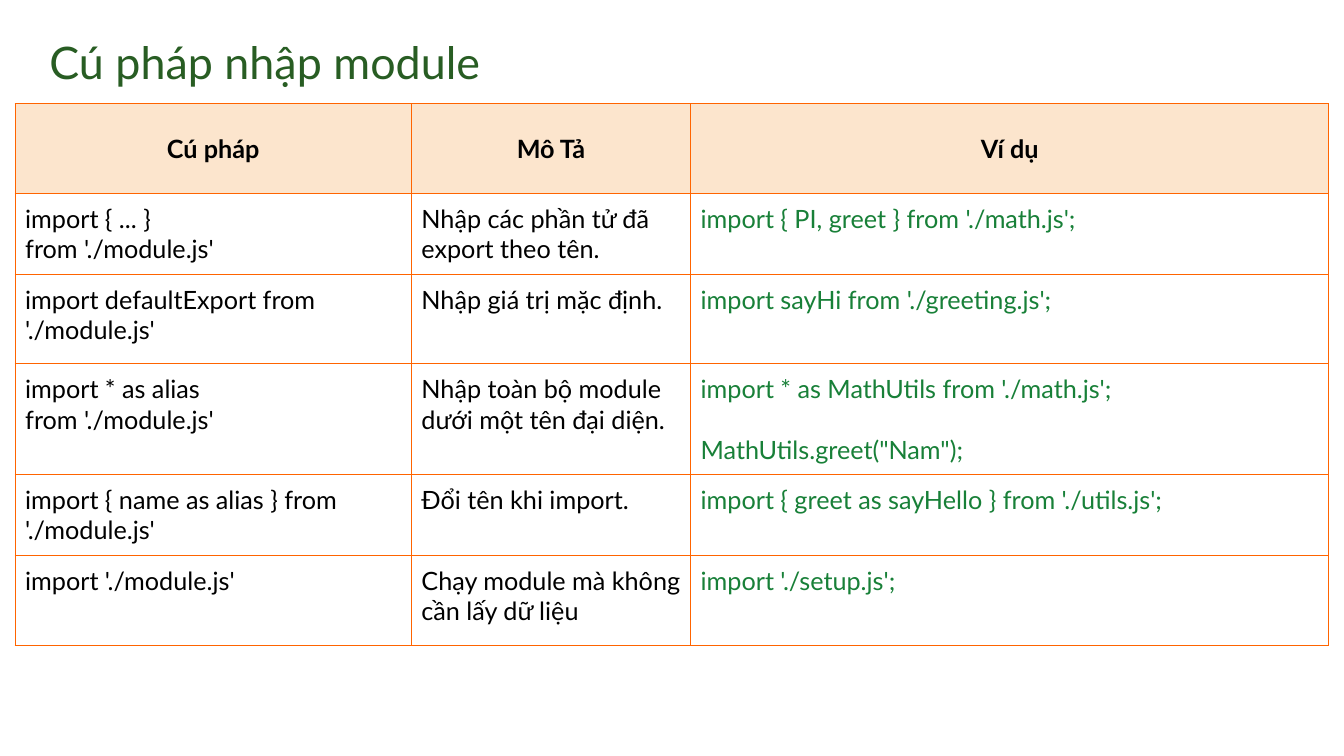
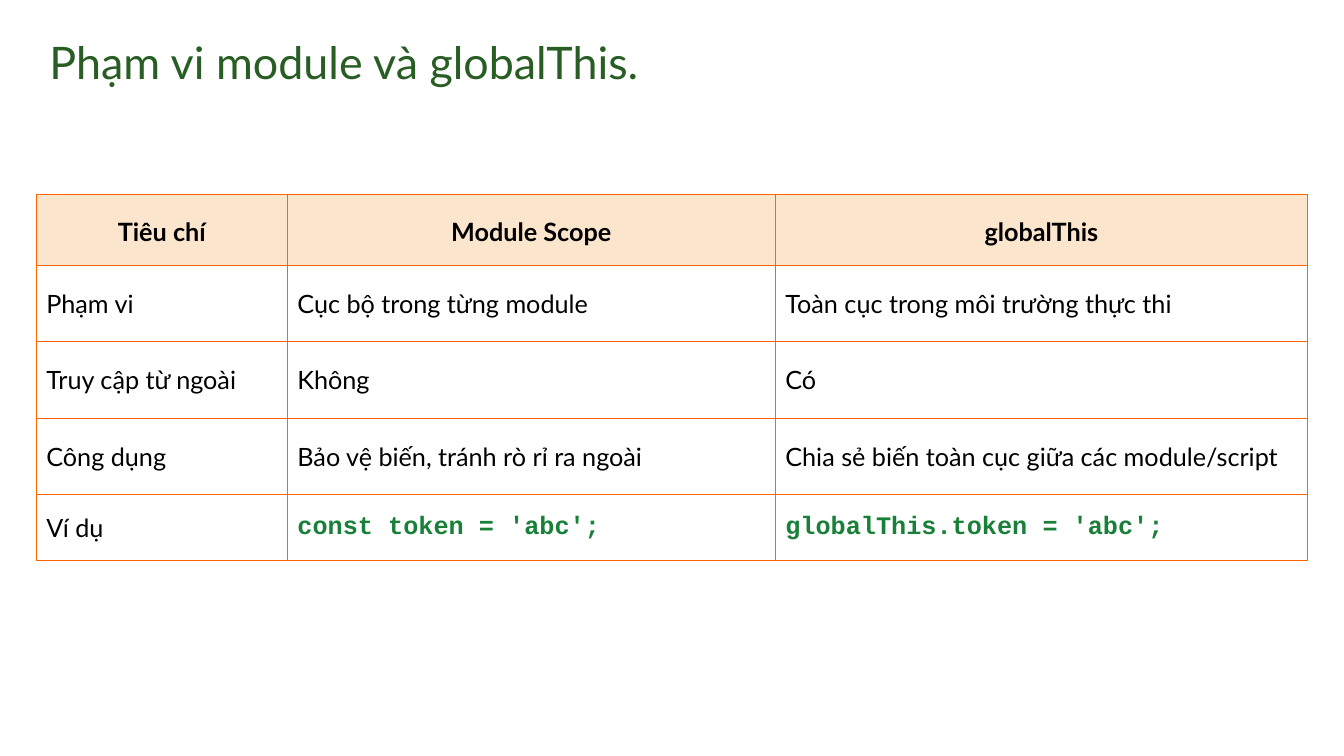
import pptx
import pptx.dml.color
import pptx.enum.text
import pptx.oxml
import pptx.oxml.ns
import pptx.util

Inches = pptx.util.Inches
Pt = pptx.util.Pt
MIDDLE = pptx.enum.text.MSO_ANCHOR.MIDDLE
TOP = pptx.enum.text.MSO_ANCHOR.TOP
CENTER = pptx.enum.text.PP_ALIGN.CENTER
LEFT = pptx.enum.text.PP_ALIGN.LEFT


class LessonDeck:
    colors = {"title": "285D23", "text": "000000", "code": "188038",
              "header": "FCE5CD", "border": "FF6400"}
    body_font = "Lato"
    code_font = "Courier New"
    border_width = Pt(0.75)
    cell_margin = Inches(0.1)
    blank_line = Pt(21.6)

    def __init__(self):
        self.deck = pptx.Presentation()
        self.deck.slide_width = Inches(13.33)
        self.deck.slide_height = Inches(7.5)
        self.slide = None

    def color(self, name):
        return pptx.dml.color.RGBColor.from_string(self.colors[name])

    def set_margins(self, box, margin):
        box.margin_left = box.margin_right = margin
        box.margin_top = box.margin_bottom = margin

    def add_text(self, paragraph, text, size=18, color="text", font=None, bold=False):
        for index, line in enumerate(text.split("\n")):
            if index:
                paragraph.add_line_break()
            run = paragraph.add_run()
            run.text = line
            run.font.name = font or self.body_font
            run.font.size = Pt(size)
            run.font.bold = bold
            run.font.color.rgb = self.color(color)

    def add_slide(self, title):
        self.slide = self.deck.slides.add_slide(self.deck.slide_layouts[6])
        heading = self.slide.shapes.add_textbox(
            Inches(0.44), Inches(0.28), Inches(12), Inches(0.67)).text_frame
        heading.word_wrap = True
        heading.vertical_anchor = MIDDLE
        self.set_margins(heading, Inches(0.05))
        self.add_text(heading.paragraphs[0], title, size=32, color="title")

    def add_borders(self, cell):
        properties = cell._tc.get_or_add_tcPr()
        for index, side in enumerate(("lnL", "lnR", "lnT", "lnB")):
            properties.insert(index, pptx.oxml.parse_xml(
                f'<a:{side} {pptx.oxml.ns.nsdecls("a")} w="{self.border_width}">'
                f'<a:solidFill><a:srgbClr val="{self.colors["border"]}"/></a:solidFill>'
                f'</a:{side}>'))

    def fill_cell(self, cell, paragraphs, anchor, align=LEFT, spacing=None,
                  header=False, **style):
        self.set_margins(cell, self.cell_margin)
        cell.vertical_anchor = anchor
        if header:
            cell.fill.solid()
            cell.fill.fore_color.rgb = self.color("header")
        else:
            cell.fill.background()
        self.add_borders(cell)
        frame = cell.text_frame
        for index, text in enumerate(paragraphs):
            paragraph = frame.add_paragraph() if index else frame.paragraphs[0]
            paragraph.alignment = align
            if index:
                paragraph.space_before = self.blank_line
            if spacing:
                paragraph.line_spacing = spacing
            self.add_text(paragraph, text, **style)

    def add_table(self, left, top, widths, heights, rows, anchor, code_style,
                  is_code, header_spacing=None):
        table = self.slide.shapes.add_table(
            len(heights), len(widths), Inches(left), Inches(top),
            Inches(sum(widths)), Inches(sum(heights))).table
        table.horz_banding = False
        for column, width in zip(table.columns, widths):
            column.width = Inches(width)
        for row, height in zip(table.rows, heights):
            row.height = Inches(height)
        for r, row in enumerate(rows):
            for c, content in enumerate(row):
                cell = table.cell(r, c)
                paragraphs = [content] if isinstance(content, str) else content
                if r == 0:
                    self.fill_cell(cell, paragraphs, MIDDLE, CENTER,
                                   header_spacing, header=True, bold=True)
                else:
                    style = code_style if is_code(r, c) else {}
                    self.fill_cell(cell, paragraphs, anchor, **style)


def main():
    lesson = LessonDeck()

    lesson.add_slide("Cú pháp nhập module")
    import_syntax = [
        ("Cú pháp", "Mô Tả", "Ví dụ"),
        ("import { ... }\nfrom './module.js'",
         "Nhập các phần tử đã export theo tên.",
         "import { PI, greet } from './math.js';"),
        ("import defaultExport from './module.js'",
         "Nhập giá trị mặc định.",
         "import sayHi from './greeting.js';"),
        ("import * as alias\nfrom './module.js'",
         "Nhập toàn bộ module dưới một tên đại diện.",
         ("import * as MathUtils from './math.js';", 'MathUtils.greet("Nam");')),
        ("import { name as alias } from './module.js'",
         "Đổi tên khi import.",
         "import { greet as sayHello } from './utils.js';"),
        ("import './module.js'",
         "Chạy module mà không cần lấy dữ liệu",
         "import './setup.js';"),
    ]
    lesson.add_table(0.15, 1.03, (3.93, 2.77, 6.33),
                     (0.89, 0.78, 0.89, 1.08, 0.8, 0.89), import_syntax, TOP,
                     {"color": "code"}, lambda r, c: c == 2)

    lesson.add_slide("Phạm vi module và globalThis.")
    scope_comparison = [
        ("Tiêu chí", "Module Scope", "globalThis"),
        ("Phạm vi", "Cục bộ trong từng module", "Toàn cục trong môi trường thực thi"),
        ("Truy cập từ ngoài", "Không", "Có"),
        ("Công dụng", "Bảo vệ biến, tránh rò rỉ ra ngoài",
         "Chia sẻ biến toàn cục giữa các module/script"),
        ("Ví dụ", "const token = 'abc';", "globalThis.token = 'abc';"),
    ]
    lesson.add_table(0.36, 1.93, (2.49, 4.84, 5.28),
                     (0.7, 0.76, 0.76, 0.76, 0.65), scope_comparison, MIDDLE,
                     {"color": "code", "font": lesson.code_font, "bold": True},
                     lambda r, c: r == 4 and c > 0, header_spacing=1.15)

    lesson.deck.save("out.pptx")


if __name__ == "__main__":
    main()
